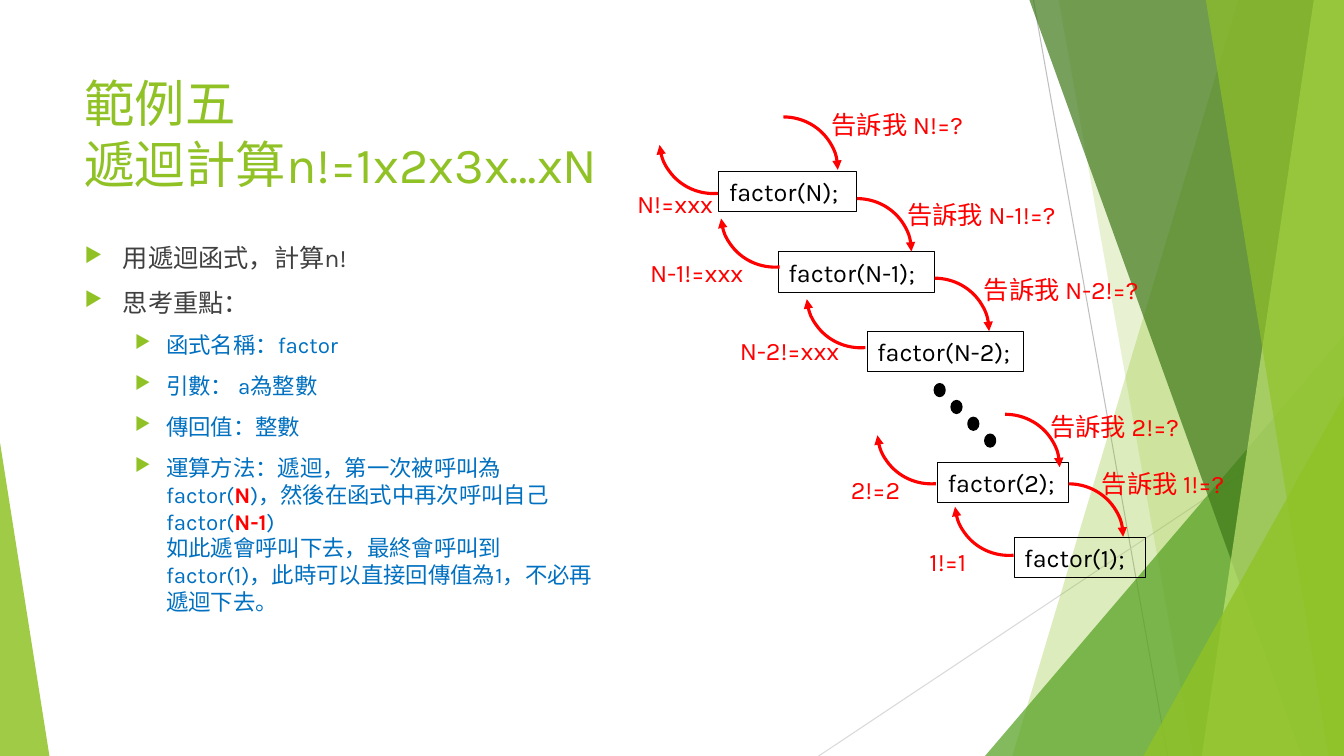
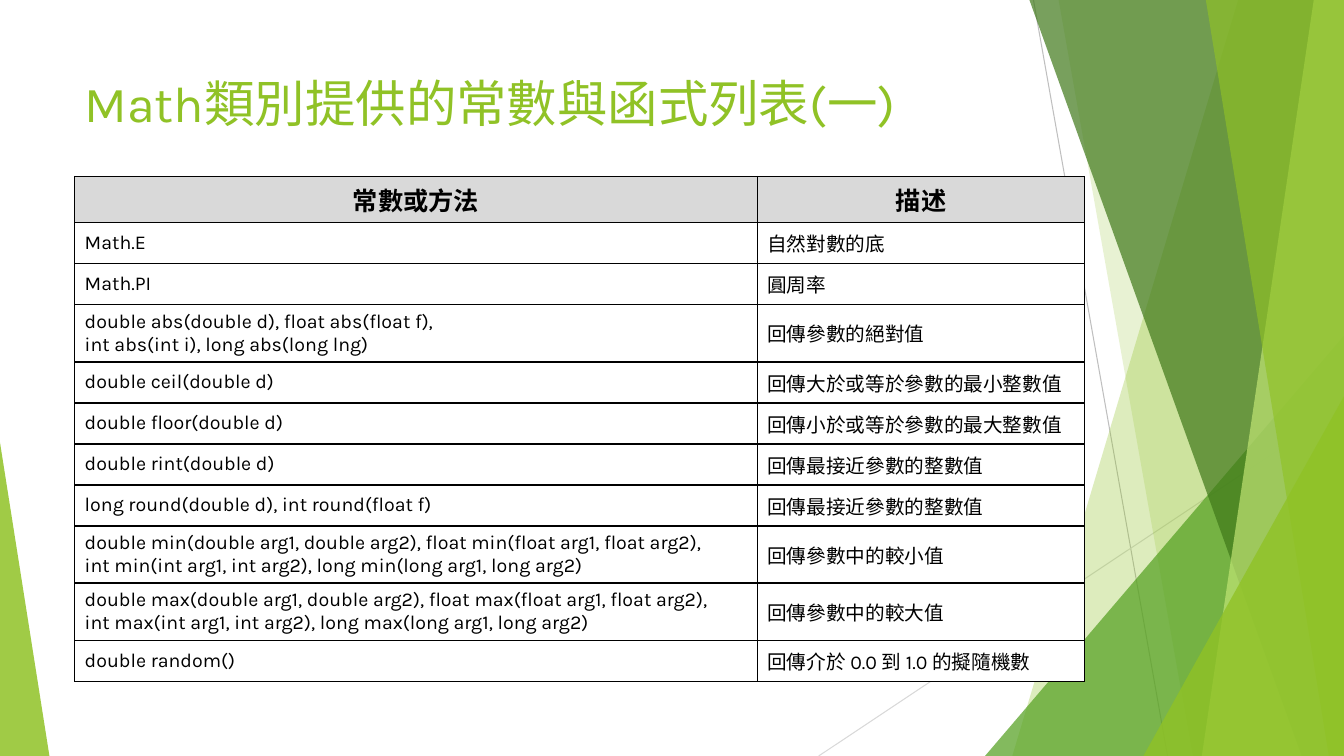
from dataclasses import dataclass

from lxml.etree import SubElement
from pptx import Presentation
from pptx.dml.color import RGBColor
from pptx.enum.shapes import MSO_CONNECTOR as Connector, MSO_SHAPE as Kind
from pptx.enum.text import MSO_ANCHOR as Anchor, PP_ALIGN as Align
from pptx.oxml import parse_xml
from pptx.oxml.ns import nsdecls, qn
from pptx.util import Inches, Pt


@dataclass(frozen=True)
class Theme:
    font: str = "Karla"
    lime: str = "90C226"
    green: str = "54A021"
    forest: str = "3F7819"
    pale: str = "C0E474"
    black: str = "000000"
    white: str = "FFFFFF"
    gray: str = "404040"
    header: str = "D9D9D9"
    blue: str = "0070C0"
    red: str = "FF0000"
    title: int = 36
    body: int = 18
    detail: int = 16
    cell: int = 14


theme = Theme()
CELL = Inches(0.1)
COLUMNS, ROWS = 133.3, 75


def draw(slide, kind, cells, fill=None, line=None, weight=0.75):
    box = [round(cell * CELL) for cell in cells]
    if kind is None:
        return slide.shapes.add_textbox(*box)
    shape = slide.shapes.add_shape(kind, *box)
    shape.shadow.inherit = False
    shape.fill.background()
    shape.line.fill.background()
    if fill:
        shape.fill.solid()
        shape.fill.fore_color.rgb = RGBColor.from_string(fill)
    if line:
        shape.line.color.rgb = RGBColor.from_string(line)
        shape.line.width = Pt(weight)
    return shape


def write(frame, text, size, color, bold=False, align=Align.LEFT, anchor=Anchor.TOP):
    frame.word_wrap = True
    frame.vertical_anchor = anchor
    frame.text = text
    for paragraph in frame.paragraphs:
        paragraph.alignment = align
        paragraph.font.name = theme.font
        paragraph.font.size = Pt(size)
        paragraph.font.bold = bold
        paragraph.font.color.rgb = RGBColor.from_string(color)


presentation = Presentation()
presentation.slide_width = round(COLUMNS * CELL)
presentation.slide_height = ROWS * CELL

guides = [
    ((102.5, 0), (115.8, ROWS), "BFBFBF"),
    ((COLUMNS, 40.3), (81.2, ROWS), "D9D9D9"),
]
bands = [
    ("edge", (122.8, 100.4), theme.lime, 30),
    ("edge", (105, 118.3), theme.lime, 20),
    ("triangle", (97.7, 33.3, 35.6, 41.7, 1), theme.green, 72),
    ("edge", (102.1, 129.1), theme.forest, 70),
    ("edge", (130.3, 119.2), theme.pale, 70),
    ("edge", (119.6, 131.8), theme.lime, 65),
    ("triangle", (113.4, 39.3, 19.9, 35.7, 1), theme.lime, 80),
    ("triangle", (0, 43.9, 4.9, 31.1, 0), theme.lime, 85),
]
titles = ["範例五\v遞迴計算n!=1x2x3x…xN", "Math類別提供的常數與函式列表(一)"]

slides = []
for title in titles:
    slide = presentation.slides.add_slide(presentation.slide_layouts[6])
    slides.append(slide)
    for start, end, color in guides:
        ends = [round(cell * CELL) for cell in start + end]
        guide = slide.shapes.add_connector(Connector.STRAIGHT, *ends)
        guide.line.color.rgb = RGBColor.from_string(color)
        guide.line.width = Pt(0.75)
        SubElement(guide._element.spPr, qn("a:effectLst"))
    for form, geometry, color, opacity in bands:
        if form == "triangle":
            band = draw(slide, Kind.ISOSCELES_TRIANGLE, geometry[:4], color)
            band.adjustments[0] = geometry[4]
        else:
            top, bottom = geometry
            corners = [(top, 0), (COLUMNS, 0), (COLUMNS, ROWS), (bottom, ROWS)]
            points = [(round(x * CELL), round(y * CELL)) for x, y in corners]
            builder = slide.shapes.build_freeform(*points[0])
            builder.add_line_segments(points[1:], close=True)
            band = builder.convert_to_shape()
            band.shadow.inherit = False
            band.line.fill.background()
            band.fill.solid()
            band.fill.fore_color.rgb = RGBColor.from_string(color)
        solid = band._element.spPr.find(qn("a:solidFill"))
        SubElement(solid[0], qn("a:alpha"), val=str(opacity * 1000))
    heading = draw(slide, None, (7.4, 6.7, 94, 14.4))
    write(heading.text_frame, title, theme.title, theme.lime)

recursion, functions = slides

points = [
    (0, ["用遞迴函式，計算n!"]),
    (0, ["思考重點："]),
    (1, ["函式名稱：factor"]),
    (1, ["引數： a為整數"]),
    (1, ["傳回值：整數"]),
    (1, ["運算方法：遞迴，第一次被呼叫為factor(", "N",
         ")，然後在函式中再次呼叫自己factor(", "N-1", ")", "\n",
         "如此遞會呼叫下去，最終會呼叫到factor(1)，此時可以直接回傳值為1，不必再遞迴下去。"]),
]
levels = [
    (0.38, 0.38, theme.body, theme.gray),
    (0.81, 0.31, theme.detail, theme.blue),
]
frame = draw(recursion, None, (7.4, 23.6, 53, 42.4)).text_frame
frame.word_wrap = True
for index, (level, pieces) in enumerate(points):
    margin, hang, size, color = levels[level]
    paragraph = frame.add_paragraph() if index else frame.paragraphs[0]
    paragraph.level = level
    if index:
        paragraph.space_before = Pt(10)
    properties = paragraph._p.get_or_add_pPr()
    properties.set("marL", str(Inches(margin)))
    properties.set("indent", str(-Inches(hang)))
    tint = SubElement(properties, qn("a:buClr"))
    SubElement(tint, qn("a:srgbClr"), val=theme.lime)
    SubElement(properties, qn("a:buSzPct"), val="80000")
    SubElement(properties, qn("a:buChar"), char="▶")
    paragraph.font.name = theme.font
    paragraph.font.size = Pt(size)
    paragraph.font.color.rgb = RGBColor.from_string(color)
    for piece in pieces:
        if piece == "\n":
            paragraph.add_line_break()
            continue
        run = paragraph.add_run()
        run.text = piece
        if piece in ("N", "N-1"):
            run.font.bold = True
            run.font.color.rgb = RGBColor.from_string(theme.red)

LINE = 4
ARC = (10.8, 10.5)
calls = [
    ("factor(N);", (71.3, 17, 13.7), "告訴我 N!=?", (81.5, 10.4, 15.1), (72.3, 11.6),
     "N!=xxx", (62.2, 18.2, 9.7), (65.4, 8.7)),
    ("factor(N-1);", (77.2, 25, 15.5), "告訴我 N-1!=?", (89, 19.3, 17.4), (79.6, 19.7),
     "N-1!=xxx", (63.5, 25, 11.9), (71.5, 16)),
    ("factor(N-2);", (86, 32.9, 15.5), "告訴我 N-2!=?", (96.6, 26.7, 17.4), (87.3, 27.6),
     "N-2!=xxx", (72.4, 32.8, 11.9), (80, 24)),
    ("factor(2);", (93, 45.9, 13), "告訴我 2!=?", (103.2, 40.3, 14.9), (94.3, 41.1),
     "2!=2", (83.4, 46.6, 6.9), (87, 37.5)),
    ("factor(1);", (100.6, 53.3, 13), "告訴我 1!=?", (108.3, 46, 14.9), (100.6, 48),
     "1!=1", (91.2, 53.7, 6.9), (94.7, 44.6)),
]
for code, code_box, ask, ask_box, ask_arc, answer, answer_box, answer_arc in calls:
    box = draw(recursion, Kind.RECTANGLE, (*code_box, LINE), line=theme.black)
    write(box.text_frame, code, theme.body, theme.black)
    for corner, rotation in ((ask_arc, 0), (answer_arc, 175.4)):
        arc = draw(recursion, Kind.ARC, corner + ARC, line=theme.red, weight=2.25)
        arc.rotation = rotation
        SubElement(arc.line._get_or_add_ln(), qn("a:tailEnd"), type="triangle")
    for text, place in ((ask, ask_box), (answer, answer_box)):
        label = draw(recursion, None, (*place, LINE))
        write(label.text_frame, text, theme.body, theme.red)

for step in range(4):
    dot = (92.7 + step * 1.67, 38.1 + step * 1.67, 1, 1.2)
    draw(recursion, Kind.OVAL, dot, theme.black, theme.black, 1.5)

entries = [
    ("常數或方法", "描述"),
    ("Math.E", "自然對數的底"),
    ("Math.PI", "圓周率"),
    ("double abs(double d), float abs(float f),\nint abs(int i), long abs(long lng)",
     "回傳參數的絕對值"),
    ("double ceil(double d)", "回傳大於或等於參數的最小整數值"),
    ("double floor(double d)", "回傳小於或等於參數的最大整數值"),
    ("double rint(double d)", "回傳最接近參數的整數值"),
    ("long round(double d), int round(float f)", "回傳最接近參數的整數值"),
    ("double min(double arg1, double arg2), float min(float arg1, float arg2),\v"
     "int min(int arg1, int arg2), long min(long arg1, long arg2)", "回傳參數中的較小值"),
    ("double max(double arg1, double arg2), float max(float arg1, float arg2),\v"
     "int max(int arg1, int arg2), long max(long arg1, long arg2)", "回傳參數中的較大值"),
    ("double random()", "回傳介於 0.0 到 1.0 的擬隨機數"),
]
widths = (67.7, 32.5)
area = [round(cell * CELL) for cell in (7.4, 17.5, sum(widths), 49.4)]
table = functions.shapes.add_table(len(entries), len(widths), *area).table
table.first_row = table.horz_banding = False
for column, width in zip(table.columns, widths):
    column.width = round(width * CELL)
for index, entry in enumerate(entries):
    is_header = index == 0
    is_double = len(entry[0].splitlines()) > 1
    height = 4.6 if is_header else 5.55 if is_double else 4.07
    table.rows[index].height = round(height * CELL)
    for cell, text in zip(table.rows[index].cells, entry):
        if is_header:
            write(cell.text_frame, text, theme.body, theme.black, True, Align.CENTER)
        else:
            write(cell.text_frame, text, theme.cell, theme.black)
            cell.vertical_anchor = Anchor.MIDDLE
        properties = cell._tc.get_or_add_tcPr()
        for side in ("lnL", "lnR", "lnT", "lnB"):
            properties.append(parse_xml(
                f'<a:{side} {nsdecls("a")} w="{Pt(1)}"><a:solidFill>'
                f'<a:srgbClr val="{theme.black}"/></a:solidFill></a:{side}>'))
        cell.fill.solid()
        cell.fill.fore_color.rgb = RGBColor.from_string(theme.header if is_header else theme.white)

presentation.save("out.pptx")
